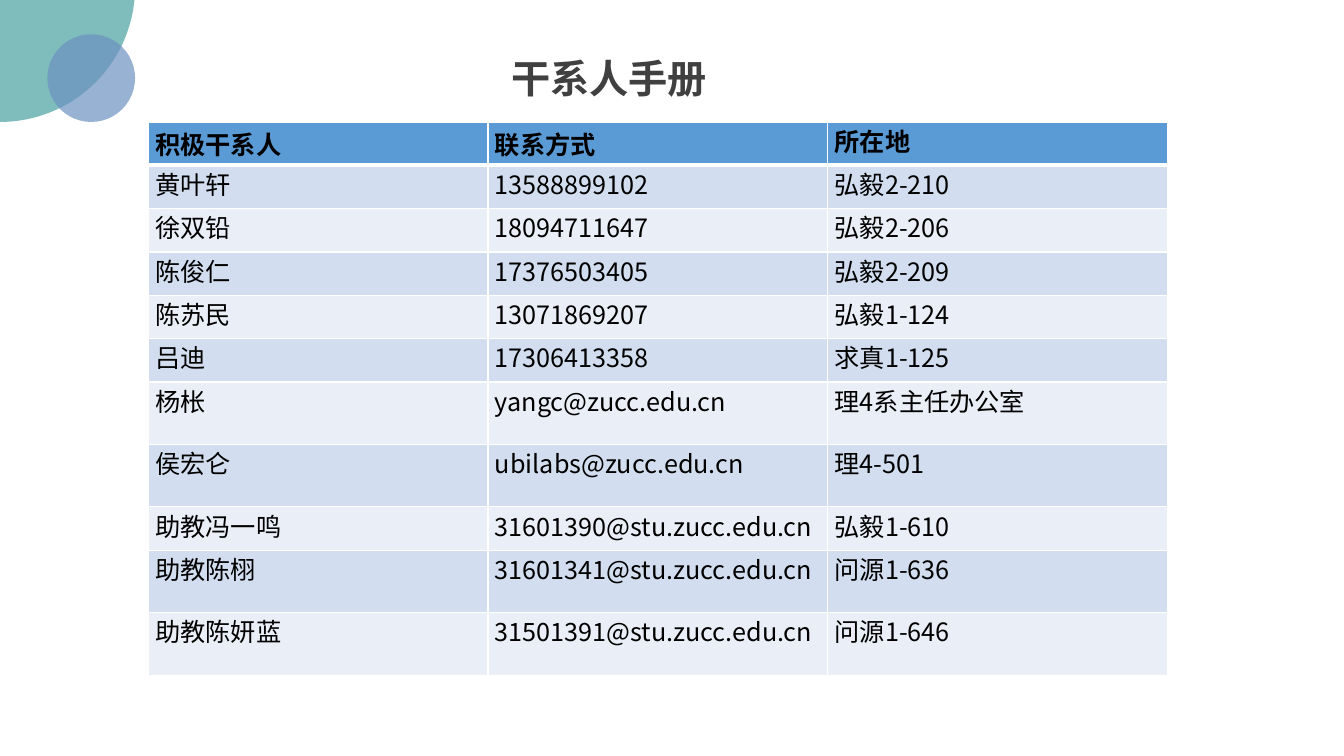
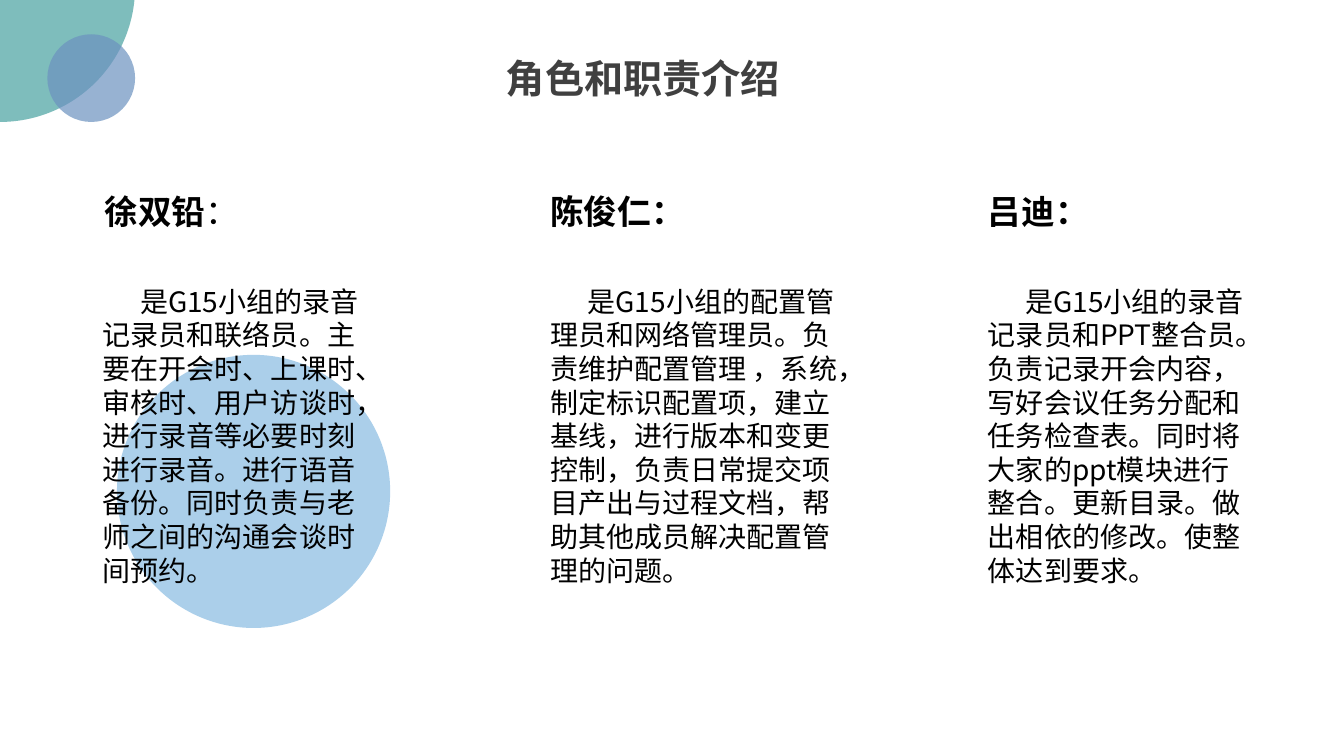
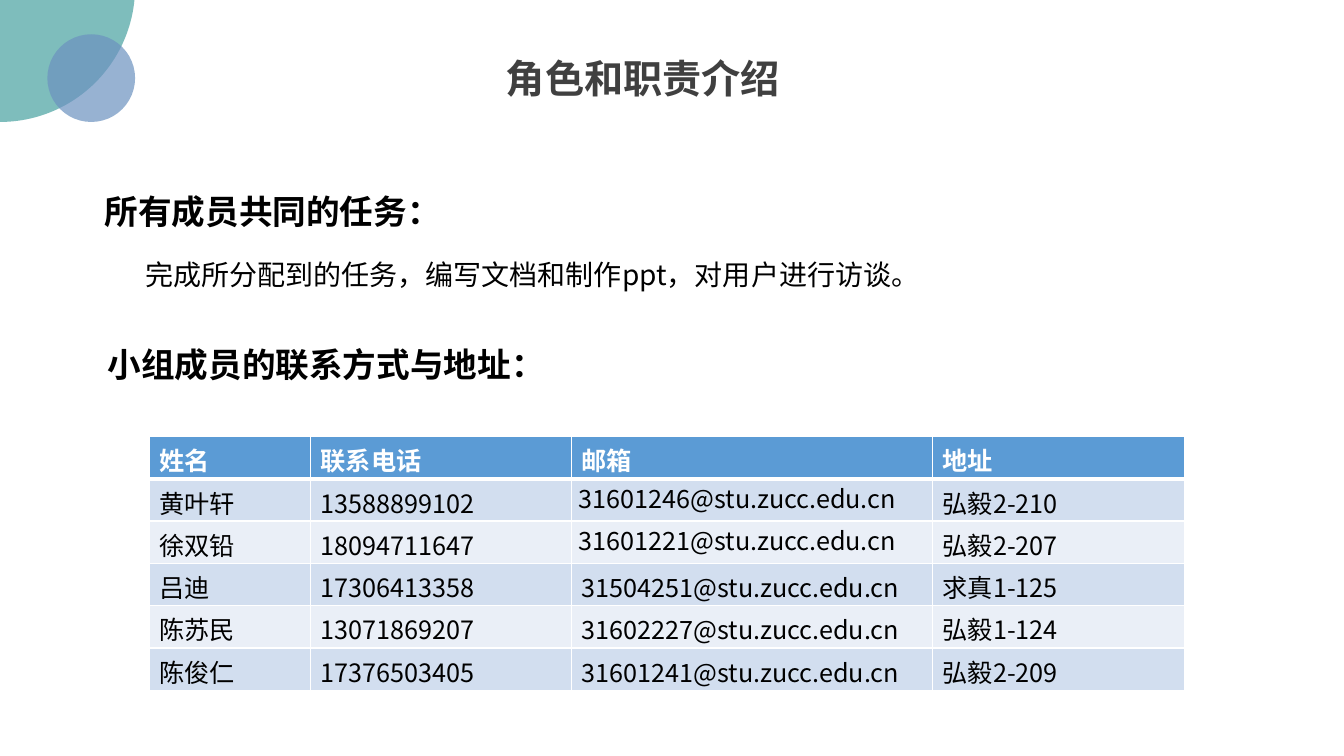
from lxml import etree
from pptx import Presentation
from pptx import util as u
from pptx.dml.color import RGBColor
from pptx.enum import shapes, text
from pptx.oxml.ns import qn

FONT = "Noto Sans CJK SC"
COLORS = {
    "title": "404040",
    "ink": "000000",
    "white": "FFFFFF",
    "teal": "48A2A0",
    "slate": "6C92C0",
    "blue": "0070C0",
    "header": "5B9BD5",
    "band_dark": "D2DEEF",
    "band_light": "EAEFF7",
}
LINE_HEIGHT = 1.2  # line pitch of text boxes, in multiples of the text size
FIRST_LINE = 0.37  # first-line indent of body text
COMPACT = (0.07, 0, 0.07, 0)  # cell insets: left, top, right, bottom
ROOMY = (0.1, 0.05, 0.1, 0)


def rgb(name):
    return RGBColor.from_string(COLORS[name])


# Text
def add_span(para, content, size, color="ink", bold=False):
    span = para.add_run()
    span.text = content
    font = span.font
    font.name, font.size, font.bold = FONT, u.Pt(size), bold
    font.color.rgb = rgb(color)
    latin = font._element.find(qn("a:latin"))
    east_asian = etree.Element(qn("a:ea"), typeface=FONT)
    latin.addnext(east_asian)


def add_text(page, at, spans, size, color="ink", wrap=True, indent=0):
    """Add a one-paragraph box; spans is a list of (content, bold)."""
    box = page.shapes.add_textbox(*map(u.Inches, at))
    frame = box.text_frame
    frame.word_wrap = wrap
    frame.auto_size = text.MSO_AUTO_SIZE.SHAPE_TO_FIT_TEXT
    para = frame.paragraphs[0]
    para.line_spacing = u.Pt(size * LINE_HEIGHT)
    if indent:
        para._p.get_or_add_pPr().set("indent", str(u.Inches(indent)))
    for content, bold in spans:
        add_span(para, content, size, color, bold)


def add_heading(page, left, top, width, *spans):
    add_text(page, (left, top, width, 0.5), spans, 24)


def add_body(page, at, content):
    add_text(page, at, [(content, False)], 20, indent=FIRST_LINE)


# Decoration
def add_circle(page, left, top, size, color, opacity):
    circle = page.shapes.add_shape(
        shapes.MSO_SHAPE.OVAL, *map(u.Inches, (left, top, size, size)))
    circle.shadow.inherit = False
    circle.line.fill.background()
    circle.fill.solid()
    circle.fill.fore_color.rgb = rgb(color)
    fill_color = circle._element.spPr.find(".//" + qn("a:srgbClr"))
    etree.SubElement(fill_color, qn("a:alpha"), val=str(opacity * 1000))


def add_frame(page, title, left, width):
    """Corner circles and title, shared by every page."""
    add_circle(page, -1.34, -1.47, 2.68, "teal", 70)
    add_circle(page, 0.47, 0.34, 0.87, "slate", 70)
    add_text(page, (left, 0.49, width, 0.57), [(title, True)], 28, "title",
             wrap=False)


# Tables
def set_borders(cell, is_header):
    props = cell._tc.get_or_add_tcPr()
    for index, side in enumerate(("lnL", "lnR", "lnT", "lnB")):
        points = 3 if is_header and side == "lnB" else 1
        line = etree.Element(qn("a:" + side), w=str(u.Pt(points)))
        fill = etree.SubElement(line, qn("a:solidFill"))
        etree.SubElement(fill, qn("a:srgbClr"), val=COLORS["white"])
        props.insert(index, line)


def set_insets(cell, insets):
    (cell.margin_left, cell.margin_top,
     cell.margin_right, cell.margin_bottom) = map(u.Inches, insets)


def add_table(page, left, top, widths, heights, rows, insets, header_color):
    size = (sum(widths), sum(heights))
    table = page.shapes.add_table(
        len(rows), len(widths), *map(u.Inches, (left, top, *size))).table
    for column, width in zip(table.columns, widths):
        column.width = u.Inches(width)
    for r, (height, values) in enumerate(zip(heights, rows)):
        table.rows[r].height = u.Inches(height)
        is_header = r == 0
        band = "header" if is_header else ("band_light", "band_dark")[r % 2]
        for c, value in enumerate(values):
            cell = table.cell(r, c)
            set_insets(cell, insets)
            cell.fill.solid()
            cell.fill.fore_color.rgb = rgb(band)
            set_borders(cell, is_header)
            add_span(cell.text_frame.paragraphs[0], value, 18,
                     header_color if is_header else "ink", is_header)
    return table


# Pages
def build_stakeholders(page):
    add_frame(page, "干系人手册", 4.97, 2.15)
    rows = [
        ("积极干系人", "联系方式", "所在地"),
        ("黄叶轩", "13588899102", "弘毅2-210"),
        ("徐双铅", "18094711647", "弘毅2-206"),
        ("陈俊仁", "17376503405", "弘毅2-209"),
        ("陈苏民", "13071869207", "弘毅1-124"),
        ("吕迪", "17306413358", "求真1-125"),
        ("杨枨", "yangc@zucc.edu.cn", "理4系主任办公室"),
        ("侯宏仑", "ubilabs@zucc.edu.cn", "理4-501"),
        ("助教冯一鸣", "31601390@stu.zucc.edu.cn", "弘毅1-610"),
        ("助教陈栩", "31601341@stu.zucc.edu.cn", "问源1-636"),
        ("助教陈妍蓝", "31501391@stu.zucc.edu.cn", "问源1-646"),
    ]
    tall_rows = (6, 7, 9, 10)
    heights = [0.62 if r in tall_rows else 0.43 for r in range(len(rows))]
    table = add_table(page, 1.47, 1.21, [3.37] * 3, heights, rows, COMPACT,
                      "ink")
    for c in (0, 1):
        table.cell(0, c).vertical_anchor = text.MSO_ANCHOR.MIDDLE


def build_roles(page):
    add_circle(page, 1.16, 3.52, 2.71, "blue", 33)
    add_frame(page, "角色和职责介绍", 4.92, 2.93)
    members = [
        (0.94, 0.92, 2.95, [("徐双铅", True), ("：", False)],
         "是G15小组的录音记录员和联络员。主要在开会时、上课时、审核时、用户访谈时，"
         "进行录音等必要时刻进行录音。进行语音备份。同时负责与老师之间的沟通会谈时间预约。"),
        (5.36, 5.36, 3.23, [("陈俊仁：", True)],
         "是G15小组的配置管理员和网络管理员。负责维护配置管理 ，系统，制定标识配置项，"
         "建立基线，进行版本和变更控制，负责日常提交项目产出与过程文档，"
         "帮助其他成员解决配置管理的问题。"),
        (9.7, 9.7, 2.75, [("吕迪：", True)],
         "是G15小组的录音记录员和PPT整合员。负责记录开会内容，写好会议任务分配和任务检查表。"
         "同时将大家的ppt模块进行整合。更新目录。做出相依的修改。使整体达到要求。"),
    ]
    for heading_left, body_left, body_width, name, duty in members:
        add_heading(page, heading_left, 1.84, 1.75, *name)
        add_body(page, (body_left, 2.77, body_width, 3.13), duty)


def build_contacts(page):
    add_frame(page, "角色和职责介绍", 4.92, 2.93)
    add_heading(page, 0.94, 1.84, 3.43, ("所有成员共同的任务：", True))
    add_body(page, (0.97, 2.51, 11.4, 0.44),
             "完成所分配到的任务，编写文档和制作ppt，对用户进行访谈。")
    add_heading(page, 0.97, 3.36, 5.82, ("小组成员的联系方式与地址：", True))
    rows = [
        ("姓名", "联系电话", "邮箱", "地址"),
        ("黄叶轩", "13588899102", "31601246@stu.zucc.edu.cn", "弘毅2-210"),
        ("徐双铅", "18094711647", "31601221@stu.zucc.edu.cn", "弘毅2-207"),
        ("吕迪", "17306413358", "31504251@stu.zucc.edu.cn", "求真1-125"),
        ("陈苏民", "13071869207", "31602227@stu.zucc.edu.cn", "弘毅1-124"),
        ("陈俊仁", "17376503405", "31601241@stu.zucc.edu.cn", "弘毅2-209"),
    ]
    table = add_table(page, 1.48, 4.33, [1.6, 2.59, 3.58, 2.5],
                      [0.42] * len(rows), rows, ROOMY, "white")
    for r in (1, 2):
        set_insets(table.cell(r, 2), COMPACT)


def main():
    deck = Presentation()
    deck.slide_width, deck.slide_height = u.Inches(13.33), u.Inches(7.5)
    blank = deck.slide_layouts[6]
    for build in (build_stakeholders, build_roles, build_contacts):
        build(deck.slides.add_slide(blank))
    deck.save("out.pptx")


if __name__ == "__main__":
    main()
